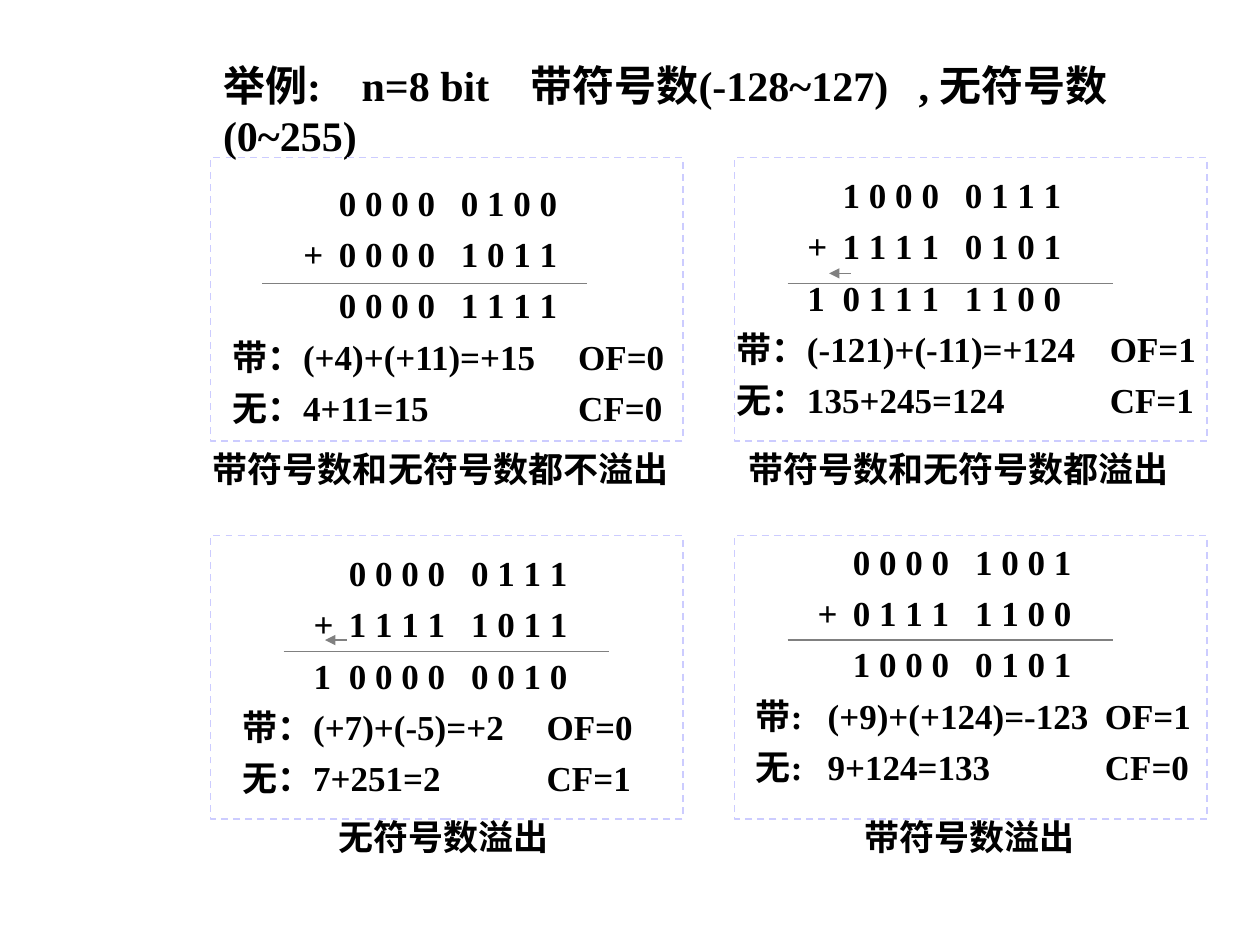
from dataclasses import dataclass

from pptx import Presentation
from pptx.dml import color as dml
from pptx.enum import dml as line_styles
from pptx.enum import shapes, text
from pptx.oxml import ns, xmlchemy
from pptx.util import Inches, Pt

COLORS = {"text": "000000", "rule": "808080", "frame": "CCCCFF"}
FONT = "Times New Roman"
FRAME_WIDTH, FRAME_HEIGHT = 3.75, 2.25
RULE_LENGTH, ARROW_LENGTH = 2.58, 0.17
BINARY_TABS = (0.56, 0.84, 1.81)  # sign or carry, high nibble, low nibble


@dataclass(frozen=True)
class Example:
    frame: tuple[float, float]
    text_box: tuple[float, float, float]  # left, top, width
    sums: tuple[str, str, str]
    results: tuple[str, str]
    result_tabs: tuple[float, ...]
    rule: tuple[float, float]
    caption: str
    caption_box: tuple[float, float, float]  # left, top, width
    arrow: tuple[float, float] | None = None  # right end


EXAMPLES = (
    Example((1.67, 1.25), (1.75, 1.48, 3.75),
            ("\t\t0 0 0 0\t0 1 0 0", "\t+\t0 0 0 0\t1 0 1 1", "\t\t0 0 0 0\t1 1 1 1"),
            ("带：(+4)+(+11)=+15\tOF=0", "无：4+11=15\tCF=0"), (2.74,),
            (2.08, 2.25), "带符号数和无符号数都不溢出", (1.59, 3.5, 3.82)),
    Example((5.83, 1.25), (5.75, 1.42, 4),
            ("\t\t1 0 0 0\t0 1 1 1", "\t+\t1 1 1 1\t0 1 0 1", "\t1\t0 1 1 1\t1 1 0 0"),
            ("带：(-121)+(-11)=+124\tOF=1", "无：135+245=124\tCF=1"), (2.96,),
            (6.25, 2.25), "带符号数和无符号数都溢出", (5.84, 3.5, 3.54), (6.75, 2.17)),
    Example((1.67, 4.25), (1.83, 4.42, 3.58),
            ("\t\t0 0 0 0\t0 1 1 1", "\t+\t1 1 1 1\t1 0 1 1", "\t1\t0 0 0 0\t0 0 1 0"),
            ("带：(+7)+(-5)=+2\tOF=0", "无：7+251=2\tCF=1"), (2.41,),
            (2.25, 5.17), "无符号数溢出", (2.59, 6.42, 1.87), (2.75, 5.08)),
    Example((5.83, 4.25), (5.83, 4.33, 3.75),
            ("\t\t0 0 0 0\t1 0 0 1", "\t+\t0 1 1 1\t1 1 0 0", "\t\t1 0 0 0\t0 1 0 1"),
            ("\t带:\t(+9)+(+124)=-123\tOF=1", "\t无:\t9+124=133\tCF=0"), (0.07, 0.64, 2.84),
            (6.25, 5.08), "带符号数溢出", (6.76, 6.42, 1.87)),
)


def rgb(name: str) -> dml.RGBColor:
    return dml.RGBColor.from_string(COLORS[name])


def add_child(parent, tag: str, **attributes: str):
    child = xmlchemy.OxmlElement(tag)
    for name, value in attributes.items():
        child.set(name, value)
    parent.append(child)
    return child


def write(para, words: str, size: int, tabs: tuple[float, ...] = ()) -> None:
    para.text = words
    para.alignment = text.PP_ALIGN.LEFT
    if tabs:
        stops = add_child(para._p.get_or_add_pPr(), "a:tabLst")
        for stop in tabs:
            add_child(stops, "a:tab", pos=str(Inches(stop)), algn="l")
    font = para.font
    font.name, font.size, font.bold = FONT, Pt(size), True
    font.color.rgb = rgb("text")


def add_box(page, left: float, top: float, width: float, height: float, wrap: bool):
    box = page.shapes.add_textbox(Inches(left), Inches(top), Inches(width), Inches(height))
    box.text_frame.word_wrap = wrap
    return box.text_frame


def add_rule(page, start: tuple[float, float], length: float, arrow: bool = False) -> None:
    left, top = start
    rule = page.shapes.add_connector(shapes.MSO_CONNECTOR.STRAIGHT, Inches(left), Inches(top),
                                     Inches(left + length), Inches(top))
    rule.line.color.rgb = rgb("rule")
    rule.line.width = Pt(1)
    properties = rule._element.spPr
    if arrow:
        add_child(properties.find(ns.qn("a:ln")), "a:tailEnd", type="triangle")
    add_child(properties, "a:effectLst")


def add_frame(page, left: float, top: float) -> None:
    frame = page.shapes.add_shape(shapes.MSO_SHAPE.RECTANGLE, Inches(left), Inches(top),
                                  Inches(FRAME_WIDTH), Inches(FRAME_HEIGHT))
    frame.shadow.inherit = False
    frame.fill.background()
    frame.line.color.rgb = rgb("frame")
    frame.line.width = Pt(1)
    frame.line.dash_style = line_styles.MSO_LINE.DASH


def add_example(page, example: Example) -> None:
    add_frame(page, *example.frame)
    add_rule(page, example.rule, RULE_LENGTH)

    # Binary sum, then its signed and unsigned readings
    frame = add_box(page, *example.text_box, 1.96, wrap=True)
    rows = [(row, BINARY_TABS) for row in example.sums]
    rows += [(row, example.result_tabs) for row in example.results]
    for index, (row, tabs) in enumerate(rows):
        para = frame.add_paragraph() if index else frame.paragraphs[0]
        write(para, row, 20, tabs)
        para.line_spacing = 0.7
        if index:
            para.space_before = Pt(12.5)

    caption = add_box(page, *example.caption_box, 0.44, wrap=False)
    write(caption.paragraphs[0], example.caption, 20)
    if example.arrow:
        add_rule(page, example.arrow, -ARROW_LENGTH, arrow=True)


def add_title(page) -> None:
    title = page.shapes.title
    title.left, title.top = Inches(1.67), Inches(0.42)
    title.width, title.height = Inches(8.08), Inches(0.9)
    frame = title.text_frame
    frame.word_wrap = True
    frame.auto_size = text.MSO_AUTO_SIZE.NONE
    frame.vertical_anchor = text.MSO_ANCHOR.TOP
    write(frame.paragraphs[0], "举例:\tn=8 bit\t带符号数(-128~127)\t, 无符号数(0~255)", 24,
          (1.1, 2.44, 5.52))


def main() -> None:
    deck = Presentation()
    deck.slide_width, deck.slide_height = Inches(10), Inches(7.5)
    page = deck.slides.add_slide(deck.slide_layouts[5])
    add_title(page)
    for example in EXAMPLES:
        add_example(page, example)
    deck.save("out.pptx")


if __name__ == "__main__":
    main()
